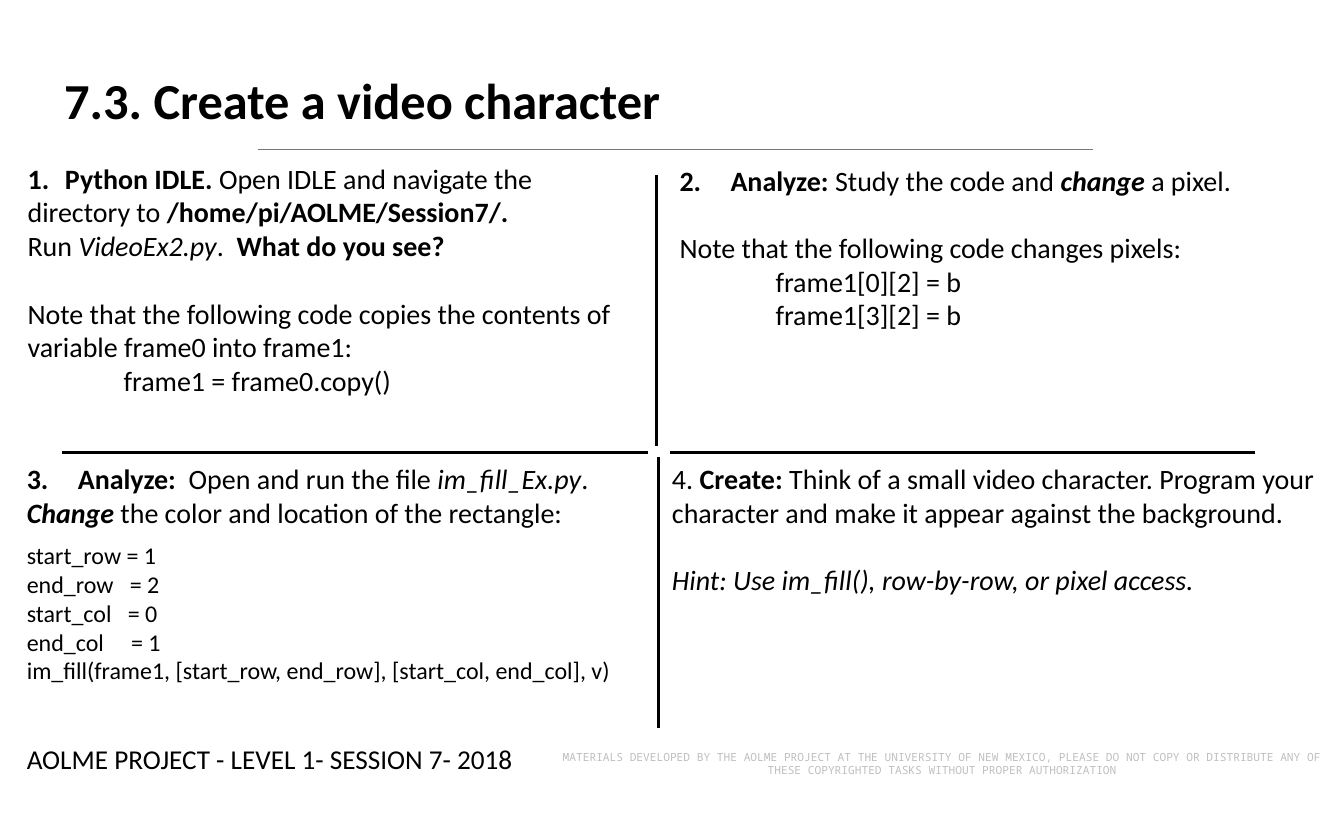
"""Build the four-task slide on creating a video character."""
import pptx
import pptx.dml.color
import pptx.enum.shapes
import pptx.enum.text
import pptx.oxml.ns
import pptx.util
from lxml import etree

Cm, Pt = pptx.util.Cm, pptx.util.Pt
ALIGN, ANCHOR = pptx.enum.text.PP_ALIGN, pptx.enum.text.MSO_ANCHOR
BLACK = pptx.dml.color.RGBColor(0x00, 0x00, 0x00)
GRAY = pptx.dml.color.RGBColor(0x76, 0x76, 0x76)
PALE = pptx.dml.color.RGBColor(0xBF, 0xBF, 0xBF)

BODY, CODE = 21, 18
BLANK_LINE = 25.6
CODE_INDENT = 2.54

RULES = [
    (1.65, 11.96, 17.15, 11.96, BLACK, 2.25),
    (17.73, 11.96, 33.2, 11.96, BLACK, 2.25),
    (17.42, 12.09, 17.42, 19.25, BLACK, 2.25),
    (17.37, 4.62, 17.37, 11.79, BLACK, 2.25),
    (6.83, 3.96, 28.91, 3.96, GRAY, 0.75),
]

TASKS = [
    ((0.48, 4.14, 17.86, 6.53), [
        dict(runs=[("Python IDLE. ", "b"), ("Open IDLE and navigate the", "")], number=1, left=0.99),
        dict(runs=[("directory to ", ""), ("/home/pi/AOLME/Session7/.", "b")]),
        dict(runs=[("Run ", ""), ("VideoEx2.py", "i"), (". ", ""), (" What do you see?", "b")]),
        dict(runs=[("Note that the following code copies the contents of", "")], before=BLANK_LINE),
        dict(runs=[("variable frame0 into frame1:", "")]),
        dict(runs=[("frame1 = frame0.copy()", "")], left=CODE_INDENT),
    ]),
    ((17.73, 4.19, 16.43, 4.75), [
        dict(runs=[("Analyze: ", "b"), ("Study the code and ", ""), ("change", "bi"), (" a pixel.", "")],
             number=2, left=1.35),
        dict(runs=[("Note that the following code changes pixels:", "")], before=BLANK_LINE),
        dict(runs=[("frame1[0][2] = b", "")], left=CODE_INDENT),
        dict(runs=[("frame1[3][2] = b", "")], left=CODE_INDENT),
    ]),
    ((0.46, 12.09, 16.94, 6.22), [
        dict(runs=[("Analyze:  ", "b"), ("Open and run the file ", ""), ("im_fill_Ex.py", "i"), (".", "")],
             number=3, left=1.35),
        dict(runs=[("Change", "bi"), (" the color and location of the rectangle:", "")]),
        dict(runs=[("start_row = 1", "")], size=CODE, before=8.9),
        dict(runs=[("end_row   = 2", "")], size=CODE),
        dict(runs=[("start_col   = 0", "")], size=CODE),
        dict(runs=[("end_col     = 1", "")], size=CODE),
        dict(runs=[("im_fill(frame1, [start_row, end_row], [start_col, end_col], v)", "")], size=CODE),
    ]),
    ((17.53, 12.09, 17.7, 4.75), [
        dict(runs=[("4. ", ""), ("Create: ", "b"),
                   ("Think of a small video character. Program your character "
                    "and make it appear against the background.", "")]),
        dict(runs=[("Hint: Use im_fill(), row-by-row, or pixel access.", "i")], before=BLANK_LINE),
    ]),
]

TITLE = "7.3. Create a video character"
FOOTER = "AOLME PROJECT - LEVEL 1- SESSION 7- 2018"
NOTICE = ("MATERIALS DEVELOPED BY THE AOLME PROJECT AT THE UNIVERSITY OF NEW MEXICO, PLEASE DO NOT COPY "
          "OR DISTRIBUTE ANY OF THESE COPYRIGHTED TASKS WITHOUT PROPER AUTHORIZATION")


def add_paragraph(p, runs, size=BODY, font="Calibri", color=BLACK, align=ALIGN.LEFT,
                  number=None, left=0, before=0):
    pPr = p._p.get_or_add_pPr()
    pPr.set("marL", str(Cm(left)))
    pPr.set("indent", str(-Cm(left) if number else 0))
    if number:
        etree.SubElement(pPr, pptx.oxml.ns.qn("a:buAutoNum"), type="arabicPeriod", startAt=str(number))
    p.alignment = align
    if before:
        p.space_before = Pt(before)
    for text, style in runs:
        r = p.add_run()
        r.text = text
        r.font.name, r.font.size = font, Pt(size)
        r.font.bold, r.font.italic = "b" in style, "i" in style
        r.font.color.rgb = color


def add_text(s, box, paragraphs, wrap=True, anchor=ANCHOR.TOP):
    tf = s.shapes.add_textbox(*map(Cm, box)).text_frame
    tf.word_wrap = wrap
    tf.vertical_anchor = anchor
    for i, kw in enumerate(paragraphs):
        add_paragraph(tf.add_paragraph() if i else tf.paragraphs[0], **kw)


def add_rule(s, x1, y1, x2, y2, color, width):
    sp = s.shapes.add_connector(pptx.enum.shapes.MSO_CONNECTOR.STRAIGHT, Cm(x1), Cm(y1), Cm(x2), Cm(y2))
    sp.line.color.rgb = color
    sp.line.width = Pt(width)
    etree.SubElement(sp._element.spPr, pptx.oxml.ns.qn("a:effectLst"))


def main():
    prs = pptx.Presentation()
    prs.slide_width, prs.slide_height = Cm(35.56), Cm(21.59)
    s = prs.slides.add_slide(prs.slide_layouts[6])
    for rule in RULES:
        add_rule(s, *rule)
    add_text(s, (1.45, 1.7, 31.67, 1.88), [dict(runs=[(TITLE, "b")], size=37.8)])
    for box, paragraphs in TASKS:
        add_text(s, box, paragraphs)
    add_text(s, (0.46, 19.51, 13.72, 1.12), [dict(runs=[(FOOTER, "")], size=20.4)], wrap=False)
    add_text(s, (14.38, 19.69, 21.11, 1.02),
             [dict(runs=[(NOTICE, "")], size=8.4, font="Noto Sans Mono", color=PALE, align=ALIGN.CENTER)],
             anchor=ANCHOR.MIDDLE)
    prs.save("out.pptx")


if __name__ == "__main__":
    main()
